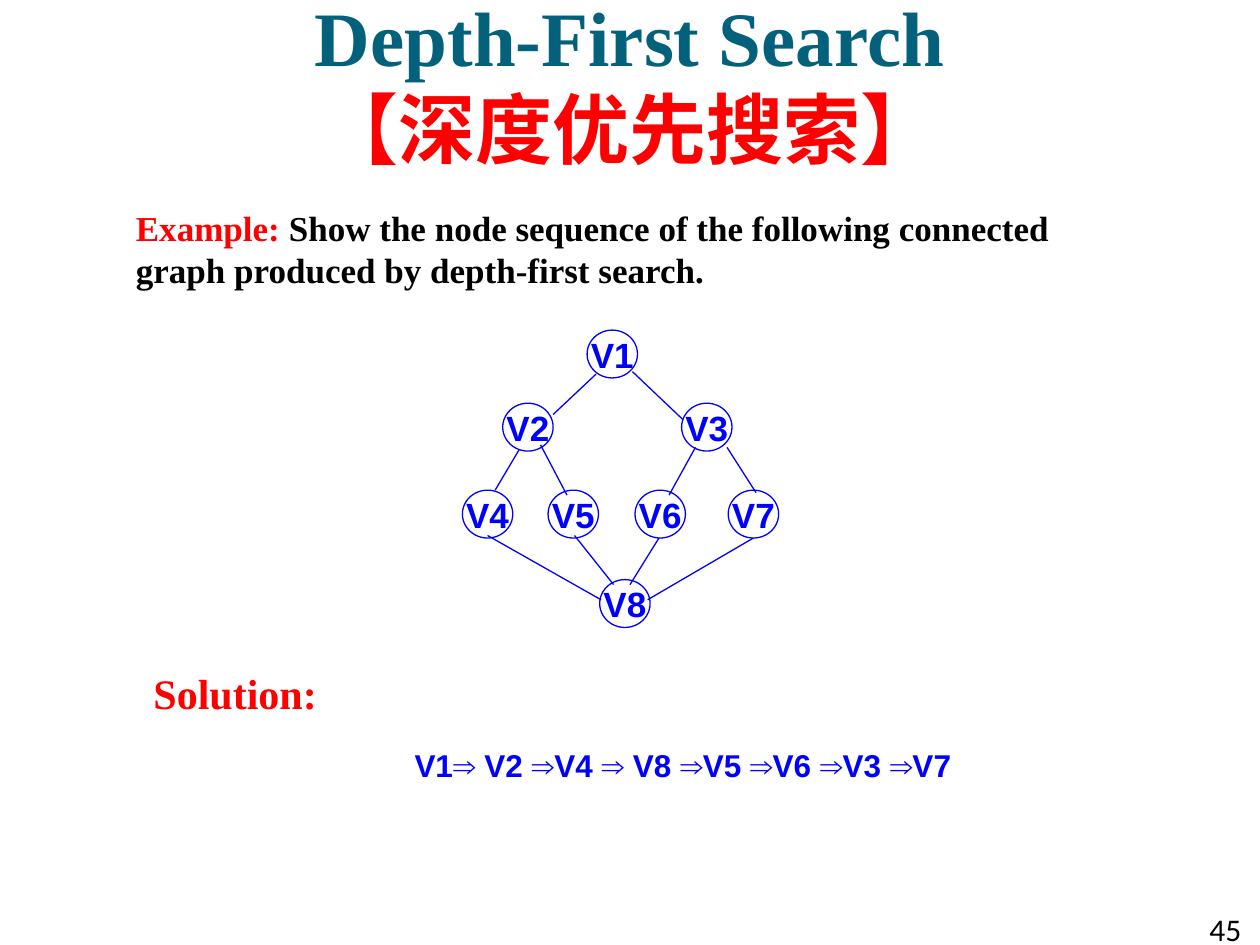
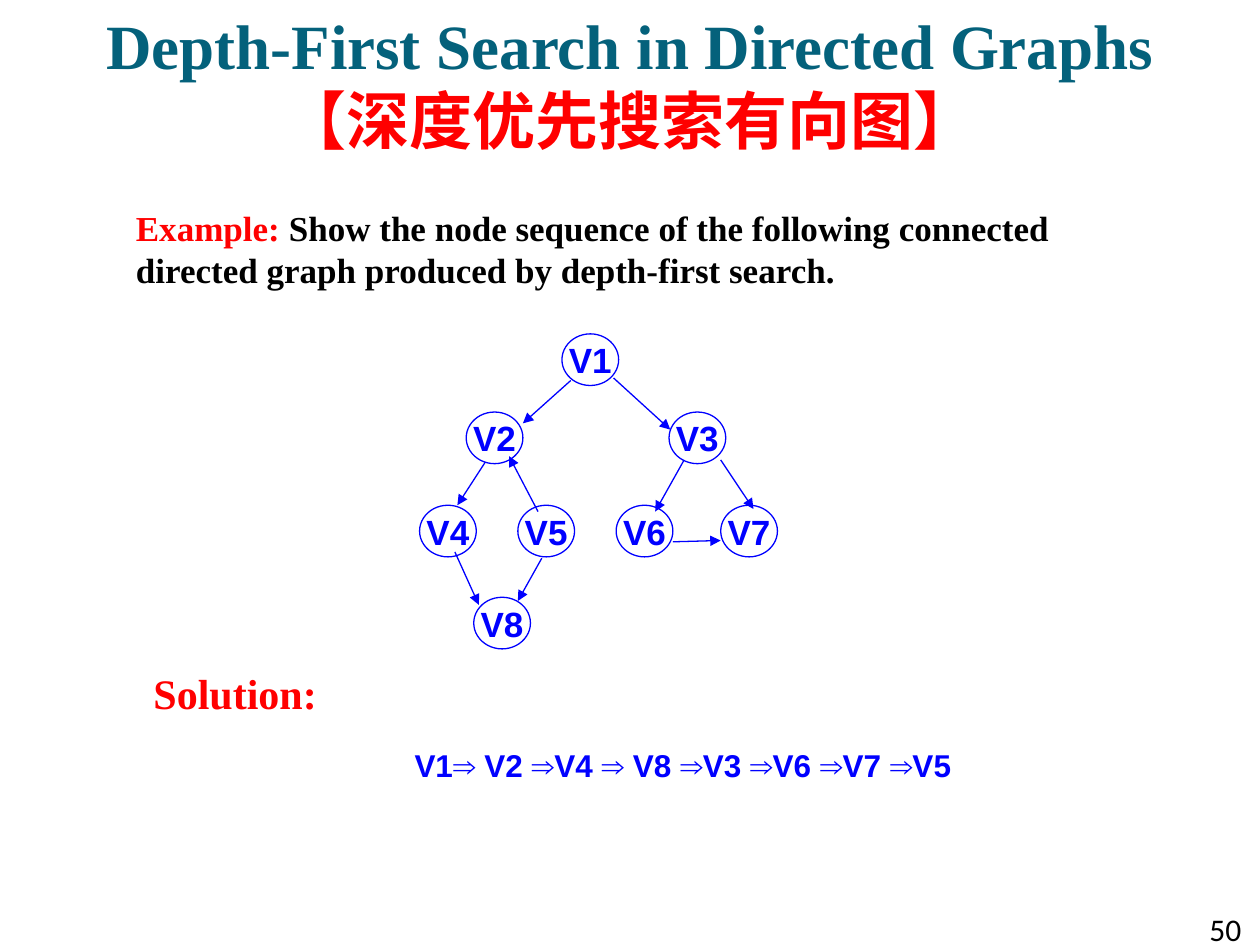
"""Build two slides on depth-first search in connected graphs."""
import lxml.etree
import pptx
import pptx.dml.color
import pptx.enum.shapes
import pptx.enum.text
import pptx.oxml.ns
import pptx.util

PX = 9144
TEAL, RED, BLUE, BLACK = "04617B", "FF0000", "0000FF", "000000"
SERIF, SANS, PAGE_FONT = "Times New Roman", "Arial", "Calibri"
ALIGN = pptx.enum.text.PP_ALIGN
MIDDLE = pptx.enum.text.MSO_ANCHOR.MIDDLE

UNDIRECTED = {
    "title": ("Depth-First Search", "【深度优先搜索】"),
    "title_size": 44,
    "task": "Show the node sequence of the following connected graph "
            "produced by depth-first search.",
    "answer": "V1⇒ V2 ⇒V4 ⇒ V8 ⇒V5 ⇒V6 ⇒V3 ⇒V7",
    "answer_box": (121, 587, 644, 50),
    "page": "45",
    "node_size": (40, 38),
    "levels": {
        262: {"V1": 466},
        320: {"V2": 399, "V3": 541},
        389: {"V4": 367, "V5": 435, "V6": 504, "V7": 578},
        460: {"V8": 476},
    },
    "edges": [
        (473, 297, 439, 329), (502, 295, 542, 333),
        (412, 357, 393, 389), (429, 353, 450, 393),
        (552, 355, 531, 393), (577, 355, 600, 391),
        (387, 425, 477, 476), (456, 425, 487, 464),
        (523, 427, 500, 464), (598, 427, 514, 476),
    ],
    "directed": False,
}

DIRECTED = {
    "title": ("Depth-First Search in Directed Graphs", "【深度优先搜索有向图】"),
    "title_size": 36,
    "task": "Show the node sequence of the following connected directed graph "
            "produced by depth-first search.",
    "answer": "V1⇒ V2 ⇒V4 ⇒ V8 ⇒V3 ⇒V6 ⇒V7 ⇒V5",
    "answer_box": (268, 587, 497, 40),
    "page": "50",
    "node_size": (45, 41),
    "levels": {
        265: {"V1": 446},
        327: {"V2": 370, "V3": 531},
        401: {"V4": 333, "V5": 411, "V6": 489, "V7": 572},
        474: {"V8": 376},
    },
    "edges": [
        (453, 302, 415, 336), (487, 300, 532, 341),
        (385, 367, 363, 401), (427, 406, 404, 362),
        (543, 365, 520, 406), (572, 365, 598, 404),
        (361, 438, 380, 480), (430, 443, 411, 477),
        (534, 430, 572, 429),
    ],
    "directed": True,
}


def px(*lengths):
    """Turn px lengths into EMU."""
    return [pptx.util.Emu(n * PX) for n in lengths]


def rgb(color):
    """Turn a hex string into a colour."""
    return pptx.dml.color.RGBColor.from_string(color)


def add_text(p, text, size=20, font=SERIF, color=BLACK, bold=True):
    """Append a formatted run to a paragraph."""
    r = p.add_run()
    r.text = text
    r.font.size = pptx.util.Pt(size)
    r.font.name = font
    r.font.bold = bold
    r.font.color.rgb = rgb(color)


def add_box(s, box, align=ALIGN.LEFT):
    """Add a wrapping text box and return its first paragraph."""
    tf = s.shapes.add_textbox(*px(*box)).text_frame
    tf.word_wrap = True
    p = tf.paragraphs[0]
    p.alignment = align
    return p


def style_line(line):
    """Give an outline the blue graph style."""
    line.color.rgb = rgb(BLUE)
    line.width = pptx.util.Pt(0.75)


def set_title(s, lines, size):
    """Place the title and fill it with its English and Chinese lines."""
    sp = s.shapes.title
    sp.left, sp.top, sp.width, sp.height = px(0, 0, 1000, 130)
    tf = sp.text_frame
    tf.auto_size = pptx.enum.text.MSO_AUTO_SIZE.NONE
    tf.vertical_anchor = MIDDLE
    p = tf.paragraphs[0]
    p.alignment = ALIGN.CENTER
    english, chinese = lines
    add_text(p, english, size=size, color=TEAL)
    p.add_line_break()
    add_text(p, chinese, size=size, color=RED)


def add_node(group, name, box):
    """Add a labelled graph node."""
    sp = group.shapes.add_shape(pptx.enum.shapes.MSO_SHAPE.OVAL, *px(*box))
    sp.shadow.inherit = False
    sp.fill.background()
    style_line(sp.line)
    tf = sp.text_frame
    tf.word_wrap = False
    tf.vertical_anchor = MIDDLE
    tf.margin_left = tf.margin_right = tf.margin_top = tf.margin_bottom = 0
    p = tf.paragraphs[0]
    p.alignment = ALIGN.CENTER
    add_text(p, name, font=SANS, color=BLUE)


def add_edge(group, ends, directed):
    """Add a straight edge, with an arrowhead at its end if directed."""
    straight = pptx.enum.shapes.MSO_CONNECTOR.STRAIGHT
    edge = group.shapes.add_connector(straight, *px(*ends))
    style_line(edge.line)
    qn = pptx.oxml.ns.qn
    props = edge._element.spPr
    if directed:
        lxml.etree.SubElement(props.find(qn("a:ln")), qn("a:tailEnd"), type="triangle")
    lxml.etree.SubElement(props, qn("a:effectLst"))


def add_graph(s, levels, node_size, edges, directed):
    """Draw the nodes level by level, then the edges, as one group."""
    group = s.shapes.add_group_shape()
    for top, nodes in levels.items():
        for name, left in nodes.items():
            add_node(group, name, (left, top, *node_size))
    for ends in edges:
        add_edge(group, ends, directed)


def add_example(prs, example):
    """Add a slide with a task, its graph and the solution."""
    s = prs.slides.add_slide(prs.slide_layouts[5])
    set_title(s, example["title"], example["title_size"])
    p = add_box(s, (98, 159, 818, 77))
    add_text(p, "Example: ", color=RED)
    add_text(p, example["task"])
    add_graph(s, example["levels"], example["node_size"],
              example["edges"], example["directed"])
    p = add_box(s, (112, 525, 817, 50))
    p.space_before = pptx.util.Pt(4)
    add_text(p, "Solution:", size=24, color=RED)
    p = add_box(s, example["answer_box"], ALIGN.RIGHT)
    add_text(p, example["answer"], size=18, font=SANS, color=BLUE)
    p = add_box(s, (950, 717, 50, 40))
    add_text(p, example["page"], size=18, font=PAGE_FONT, bold=False)


def main():
    """Build and save the presentation."""
    prs = pptx.Presentation()
    prs.slide_width, prs.slide_height = px(1000, 750)
    for example in (UNDIRECTED, DIRECTED):
        add_example(prs, example)
    prs.save("out.pptx")


if __name__ == "__main__":
    main()
